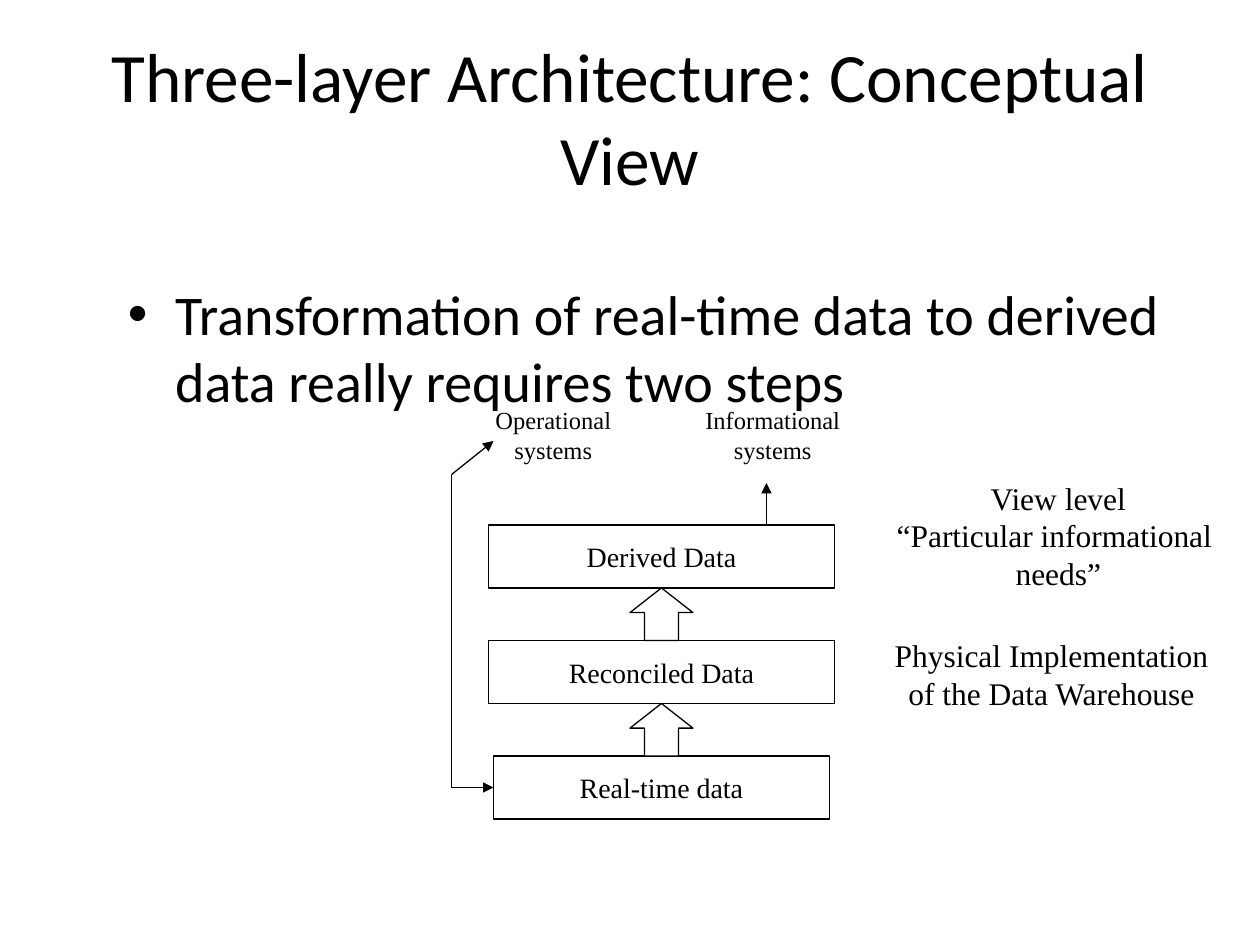
"""Build the three-layer data architecture slide."""
from lxml import etree
from pptx import Presentation, util as u
from pptx.dml.color import RGBColor
from pptx.enum import shapes, text
from pptx.oxml.ns import qn

PX = 7620
THEME = {
    "ink": RGBColor(0, 0, 0), "paper": RGBColor(255, 255, 255),
    "sans": "Calibri", "serif": "Times New Roman", "line": u.Pt(0.75),
    "title": 39.6, "body": 32, "note": 18, "layer": 16, "label": 14,
}

deck = Presentation()
deck.slide_width, deck.slide_height = 1200 * PX, 900 * PX
slide = deck.slides.add_slide(deck.slide_layouts[6])
items = slide.shapes


def write(shape, lines, size, face="serif", wrap=False, middle=False, bullet=False):
    frame = shape.text_frame
    frame.word_wrap = wrap
    frame.vertical_anchor = text.MSO_ANCHOR.MIDDLE if middle else text.MSO_ANCHOR.TOP
    frame.text = "\n".join(lines)
    for para in frame.paragraphs:
        para.alignment = text.PP_ALIGN.LEFT if bullet else text.PP_ALIGN.CENTER
        if bullet:
            props = para._p.get_or_add_pPr()
            props.set("marL", str(45 * PX))
            props.set("indent", str(-45 * PX))
            etree.SubElement(props, qn("a:buFont")).set("typeface", "Arial")
            etree.SubElement(props, qn("a:buChar")).set("char", "•")
        para.font.name = THEME[face]
        para.font.size = u.Pt(THEME[size])
        para.font.color.rgb = THEME["ink"]


def draw(kind, *box):
    shape = items.add_shape(kind, *(n * PX for n in box))
    shape.shadow.inherit = False
    shape.fill.solid()
    shape.fill.fore_color.rgb = THEME["paper"]
    shape.line.color.rgb = THEME["ink"]
    shape.line.width = THEME["line"]
    return shape


title = items.add_textbox(60 * PX, 36 * PX, 1080 * PX, 150 * PX)
write(title, ["Three-layer Architecture: Conceptual View"], "title", "sans", True, True)
body = items.add_textbox(110 * PX, 260 * PX, 1020 * PX, 147 * PX)
write(body, ["Transformation of real-time data to derived data really requires two steps"],
      "body", "sans", True, bullet=True)

mid, top, high, step = 630, 500, 60, 110
for i, (name, wide) in enumerate([("Derived Data", 330), ("Reconciled Data", 330),
                                  ("Real-time data", 320)]):
    y = top + i * step
    layer = draw(shapes.MSO_SHAPE.RECTANGLE, mid - wide // 2, y, wide, high)
    write(layer, [name], "layer", middle=True)
    if i:
        arrow = draw(shapes.MSO_SHAPE.UP_ARROW, mid - 30, y - step + high, 60, step - high)
        arrow.adjustments[0], arrow.adjustments[1] = 0.54, 0.47

for x, y, wide, tall, size, lines in [
    (458, 380, 138, 68, "label", ["Operational", "systems"]),
    (658, 380, 156, 68, "label", ["Informational", "systems"]),
    (840, 600, 323, 84, "note", ["Physical Implementation", "of the Data Warehouse"]),
    (842, 450, 332, 120, "note", ["View level", "“Particular informational ", "needs”"]),
]:
    label = items.add_textbox(x * PX, y * PX, wide * PX, tall * PX)
    write(label, lines, size)
    label.text_frame.auto_size = text.MSO_AUTO_SIZE.SHAPE_TO_FIT_TEXT

for ends, tip in [
    ((730, 500, 730, 460), True),
    ((430, 452, 470, 420), True),
    ((430, 452, 430, 750), False),
    ((430, 750, 470, 750), True),
]:
    link = items.add_connector(shapes.MSO_CONNECTOR.STRAIGHT, *(n * PX for n in ends))
    link.line.color.rgb = THEME["ink"]
    link.line.width = THEME["line"]
    props = link._element.spPr
    if tip:
        etree.SubElement(props.find(qn("a:ln")), qn("a:tailEnd")).set("type", "triangle")
    etree.SubElement(props, qn("a:effectLst"))
link.end_connect(layer, 1)

deck.save("out.pptx")
